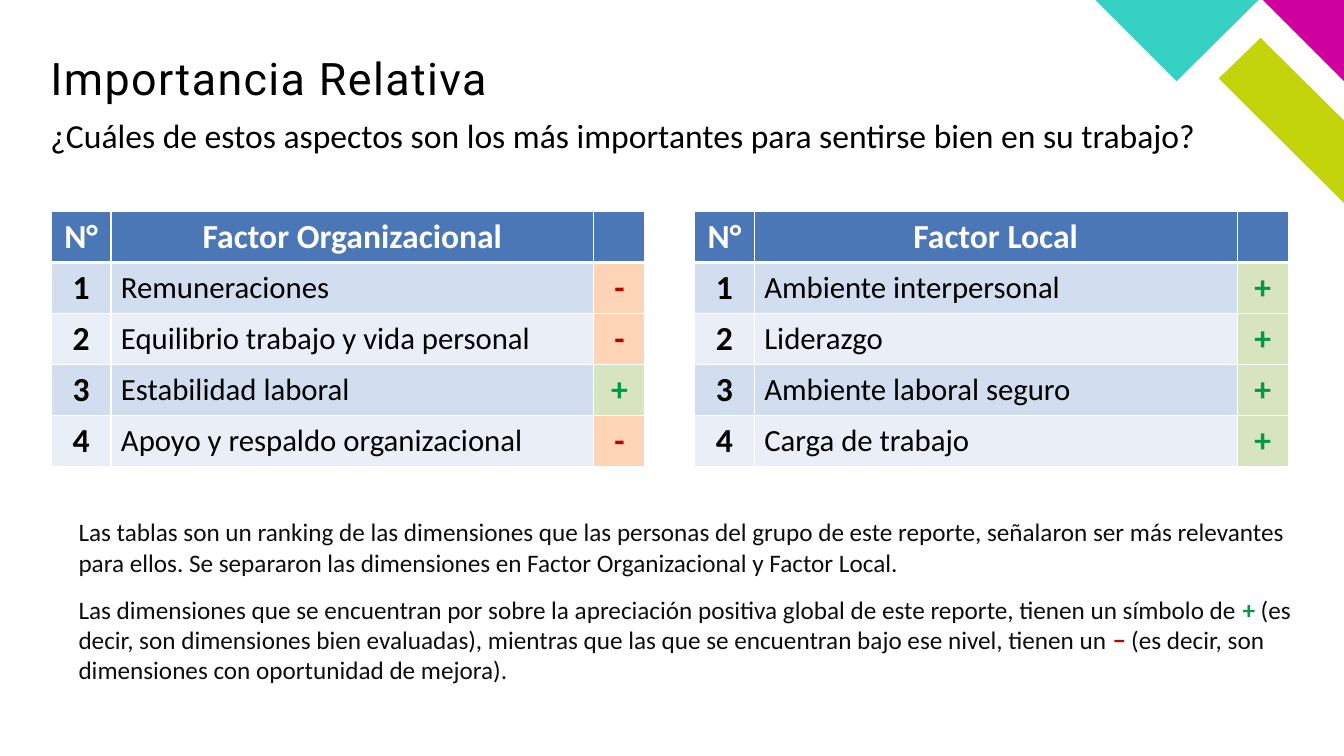
import pptx
import pptx.util
import pptx.dml.color
import pptx.enum.text
import lxml.etree

Pt = pptx.util.Pt
ALIGN = pptx.enum.text.PP_ALIGN
MIDDLE = pptx.enum.text.MSO_ANCHOR.MIDDLE
FIT = pptx.enum.text.MSO_AUTO_SIZE
NS = "{http://schemas.openxmlformats.org/drawingml/2006/main}"
GREEN, RED, INK = "009A46", "C00000", "0D0D0D"
MARKS = {"+": (GREEN, "D7E4BD"), "-": (RED, "FDD4B5")}
BANDS = ("EAEFF7", "D2DEEF")


def tint(text):
    return pptx.dml.color.RGBColor.from_string(text)


def style(font, size, color, bold=False, face="Calibri"):
    font.name, font.size, font.bold = face, Pt(size), bold
    font.color.rgb = tint(color)


def place(shape, box):
    shape.left, shape.top, shape.width, shape.height = [Pt(n) for n in box]


def border(cell, sides):
    props = cell._tc.get_or_add_tcPr()
    for side, width in sides.items():
        line = lxml.etree.SubElement(props, NS + "ln" + side, w=str(Pt(width)))
        fill = lxml.etree.SubElement(line, NS + "solidFill")
        lxml.etree.SubElement(fill, NS + "srgbClr", val="FFFFFF")


def draw_corner(slide, box):
    left, top = box
    bands = (
        ("C4D40A", [(177.5, 145), (177.5, 86), (118, 27), (88, 56)]),
        ("CE009F", [(177.5, 58), (177.5, 0), (119.5, 0)]),
        ("35D2C4", [(0, 0), (58, 58), (116.5, 0)]),
    )
    for color, spots in bands:
        spots = [(Pt(left + x), Pt(top + y)) for x, y in spots]
        pen = slide.shapes.build_freeform(*spots[0])
        pen.add_line_segments(spots[1:], close=True)
        shape = pen.convert_to_shape()
        shape.shadow.inherit = False
        shape.fill.solid()
        shape.fill.fore_color.rgb = tint(color)
        shape.line.fill.background()


def draw_title(slide, box):
    title = slide.shapes.title
    place(title, box)
    frame = title.text_frame
    frame.text = "Importancia Relativa"
    frame.auto_size = FIT.NONE
    frame.vertical_anchor = MIDDLE
    frame.margin_left = frame.margin_top = 0
    frame.margin_right = frame.margin_bottom = 0
    para = frame.paragraphs[0]
    para.alignment, para.line_spacing = ALIGN.LEFT, 0.9
    run = para.runs[0]
    style(run.font, 32, "000000", face="Roboto")
    run._r.get_or_add_rPr().set("spc", "100")


def draw_lead(slide, box):
    body = slide.placeholders[1]
    place(body, box)
    frame = body.text_frame
    frame.text = "¿Cuáles de estos aspectos son los más importantes para sentirse bien en su trabajo?"
    frame.auto_size = FIT.NONE
    frame.margin_left = 0
    para = frame.paragraphs[0]
    para.line_spacing, para.space_before = 0.9, Pt(0)
    props = para._p.get_or_add_pPr()
    props.set("marL", "0")
    props.set("indent", "0")
    lxml.etree.SubElement(props, NS + "buNone")
    style(para.runs[0].font, 24, "000000")


def draw_rank(slide, box, head, items):
    left, top, width, height = box
    rows = [("N°", head, "")]
    rows += [(str(n), name, mark) for n, (name, mark) in enumerate(items, 1)]
    frame = slide.shapes.add_table(len(rows), 3, *[Pt(n) for n in box])
    table = frame.table
    for col, size in zip(table.columns, (42.5, width - 79, 36.5)):
        col.width = Pt(size)
    for r, row in enumerate(rows):
        table.rows[r].height = Pt(height / len(rows))
        for c, text in enumerate(row):
            cell = table.cell(r, c)
            border(cell, {"L": 1, "R": 1, "T": 3 if r == 1 else 1, "B": 1 if r else 3})
            name = r > 0 and c == 1
            ink, fill = ("000000", BANDS[r % 2]) if r else ("FFFFFF", "4B77B6")
            if text in MARKS:
                ink, fill = MARKS[text]
            cell.fill.solid()
            cell.fill.fore_color.rgb = tint(fill)
            cell.vertical_anchor = MIDDLE
            cell.text_frame.text = text
            para = cell.text_frame.paragraphs[0]
            para.alignment = ALIGN.LEFT if name else ALIGN.CENTER
            style(para.font, 22 if name else 24, ink, not name)
            for run in para.runs:
                style(run.font, 22 if name else 24, ink, not name)


def draw_notes(slide, box):
    frame = slide.shapes.add_textbox(*[Pt(n) for n in box]).text_frame
    frame.word_wrap = True
    frame.auto_size = FIT.SHAPE_TO_FIT_TEXT
    frame.vertical_anchor = MIDDLE
    notes = (
        [("Las tablas son un ranking de las dimensiones que las personas del grupo de este reporte, "
          "señalaron ser más relevantes para ellos. Se separaron las dimensiones en "
          "Factor Organizacional y Factor Local.", INK)],
        [("Las dimensiones que se encuentran por sobre la apreciación positiva global de este "
          "reporte, tienen un símbolo de ", INK),
         ("+", GREEN),
         (" (es decir, son dimensiones bien evaluadas), mientras que las que se encuentran "
          "bajo ese nivel, tienen un ", INK),
         ("−", RED),
         (" (es decir, son dimensiones con oportunidad de mejora).", INK)],
    )
    for i, parts in enumerate(notes):
        para = frame.add_paragraph() if i else frame.paragraphs[0]
        para.space_after = Pt(12)
        for text, color in parts:
            run = para.add_run()
            run.text = text
            style(run.font, 18, color, color != INK)


def main():
    deck = pptx.Presentation()
    deck.slide_width, deck.slide_height = Pt(960), Pt(540)
    slide = deck.slides.add_slide(deck.slide_layouts[1])
    draw_corner(slide, (782.5, 0))
    draw_title(slide, (36, 34, 497.5, 48))
    draw_lead(slide, (36, 82, 854.5, 48))
    ranks = (
        ("Factor Organizacional", [
            ("Remuneraciones", "-"),
            ("Equilibrio trabajo y vida personal", "-"),
            ("Estabilidad laboral", "+"),
            ("Apoyo y respaldo organizacional", "-")]),
        ("Factor Local", [
            ("Ambiente interpersonal", "+"),
            ("Liderazgo", "+"),
            ("Ambiente laboral seguro", "+"),
            ("Carga de trabajo", "+")]),
    )
    for i, (head, items) in enumerate(ranks):
        draw_rank(slide, (36.75 + 459.5 * i, 151, 424, 182), head, items)
    draw_notes(slide, (49, 365, 882.5, 128))
    deck.save("out.pptx")


if __name__ == "__main__":
    main()
